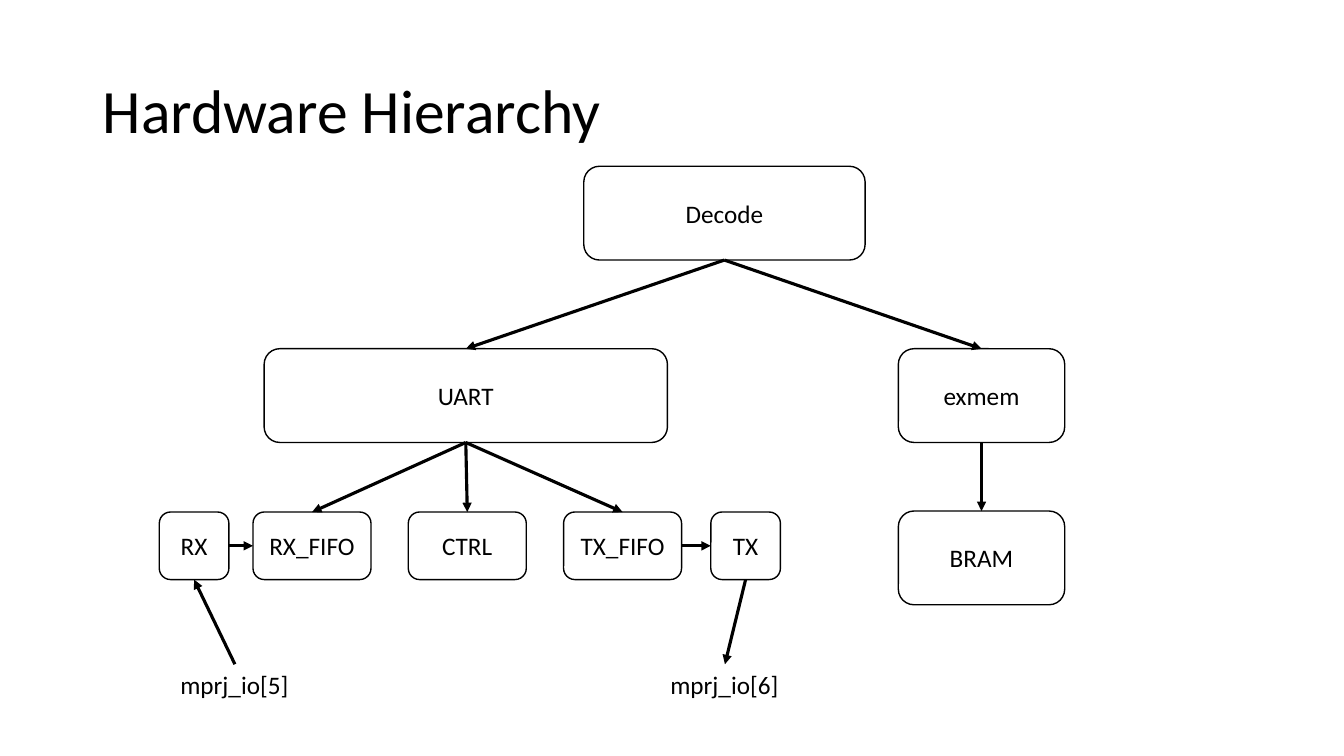
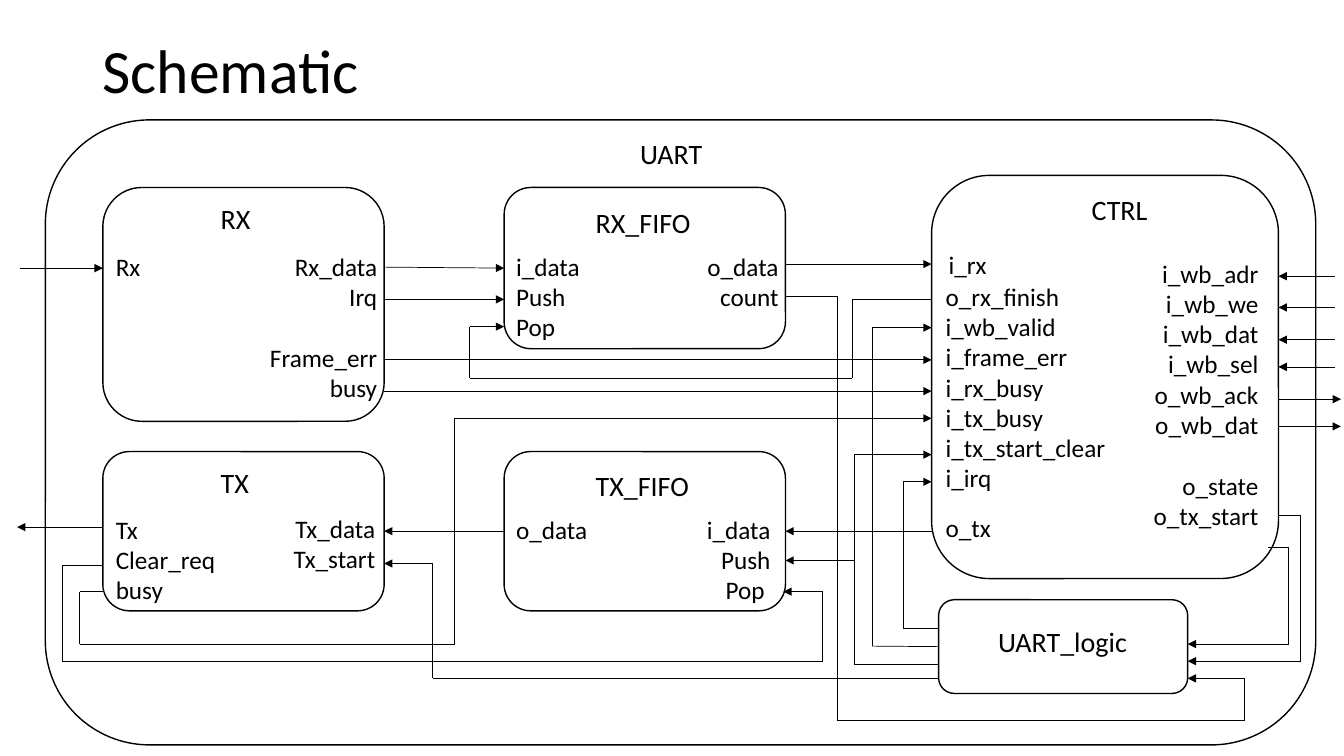
from itertools import pairwise

from lxml.etree import SubElement
from pptx import Presentation
from pptx.dml.color import RGBColor
from pptx.enum.shapes import MSO_CONNECTOR, MSO_SHAPE
from pptx.enum.text import MSO_ANCHOR, MSO_AUTO_SIZE, PP_ALIGN
from pptx.oxml.ns import qn
from pptx.util import Emu, Pt

EMU_PER_PX = 9144
TOP, LEFT, BOTTOM, RIGHT = range(4)


def px(length):
    """Turn px, 100 to the inch, into EMU."""
    return Emu(length * EMU_PER_PX)


def color(value):
    """Turn a hex string into a colour."""
    return RGBColor.from_string(value)


class Deck:
    """Hold the shared style and the current slide."""

    FONT = "Calibri"
    INK = "000000"
    TITLE, HEADING, BODY = 44, 20, 18
    BODY_LINE = 22

    def __init__(self):
        """Start an empty wide presentation."""
        self.presentation = Presentation()
        self.presentation.slide_width = px(1333)
        self.presentation.slide_height = px(750)
        self.slide = None

    def add_slide(self, title, top):
        """Open a slide with its title."""
        self.slide = self.presentation.slides.add_slide(
            self.presentation.slide_layouts[6])
        heading = self.slide.shapes.add_textbox(px(92), px(top), px(1150), px(145))
        self.set_text(heading, title, self.TITLE)
        heading.text_frame.word_wrap = True
        heading.text_frame.vertical_anchor = MSO_ANCHOR.MIDDLE
        heading.text_frame.paragraphs[0].line_spacing = 0.9

    def set_text(self, holder, text, size, align=PP_ALIGN.LEFT):
        """Set and format the text of a shape."""
        holder.text_frame.text = text
        holder.text_frame.word_wrap = False
        for paragraph in holder.text_frame.paragraphs:
            paragraph.alignment = align
            for run in paragraph.runs:
                run.font.name = self.FONT
                run.font.size = Pt(size)
                run.font.color.rgb = color(self.INK)

    def box(self, left, top, width, height, text=""):
        """Draw an outlined rounded block."""
        block = self.slide.shapes.add_shape(
            MSO_SHAPE.ROUNDED_RECTANGLE, px(left), px(top), px(width), px(height))
        block.shadow.inherit = False
        block.fill.background()
        block.line.color.rgb = color(self.INK)
        block.line.width = Pt(1)
        if text:
            self.set_text(block, text, self.BODY, PP_ALIGN.CENTER)
            block.text_frame.vertical_anchor = MSO_ANCHOR.MIDDLE
        return block

    def label(self, left, top, width, lines, size=BODY, align=PP_ALIGN.LEFT, gap_before=None):
        """Place lines of text, with one line left free before a given line."""
        count = len(lines) + (gap_before is not None)
        height = 44 if size == self.HEADING else 10 + 30 * count
        caption = self.slide.shapes.add_textbox(px(left), px(top), px(width), px(height))
        self.set_text(caption, "\n".join(lines), size, align)
        caption.text_frame.auto_size = MSO_AUTO_SIZE.SHAPE_TO_FIT_TEXT
        if gap_before is not None:
            caption.text_frame.paragraphs[gap_before].space_before = Pt(self.BODY_LINE)
        return caption

    def wire(self, *stops, weight=0.5):
        """Run an arrow through stops, each an (x, y) or a (shape, side)."""
        for start, finish in pairwise(stops):
            corners = [stop if isinstance(stop[0], int) else (0, 0)
                       for stop in (start, finish)]
            segment = self.slide.shapes.add_connector(
                MSO_CONNECTOR.STRAIGHT, *(px(value) for corner in corners for value in corner))
            if not isinstance(start[0], int):
                segment.begin_connect(*start)
            if not isinstance(finish[0], int):
                segment.end_connect(*finish)
            segment.line.color.rgb = color(self.INK)
            segment.line.width = Pt(weight)
            SubElement(segment.element.spPr, qn("a:effectLst"))
        SubElement(segment.get_or_add_ln(), qn("a:tailEnd"), type="triangle")


def hierarchy(deck):
    """Build the tree of hardware blocks."""
    deck.add_slide("Hardware Hierarchy", 40)
    decode = deck.box(579, 165, 279, 93, "Decode")
    uart = deck.box(262, 346, 400, 93, "UART")
    exmem = deck.box(891, 346, 165, 93, "exmem")
    bram = deck.box(891, 507, 165, 93, "BRAM")
    rx, rx_fifo, ctrl, tx_fifo, tx = (
        deck.box(left, 508, width, 67, name) for left, width, name in (
            (158, 69, "RX"), (251, 117, "RX_FIFO"), (405, 117, "CTRL"),
            (559, 117, "TX_FIFO"), (705, 69, "TX")))
    pin_in, pin_out = (
        deck.label(left, 659, 128, [name])
        for left, name in ((169, "mprj_io[5]"), (655, "mprj_io[6]")))

    downward = ((decode, uart), (decode, exmem), (exmem, bram), (uart, rx_fifo),
                (uart, ctrl), (uart, tx_fifo), (tx, pin_out))
    for parent, child in downward:
        deck.wire((parent, BOTTOM), (child, TOP), weight=2.25)
    for source, target in ((rx, rx_fifo), (tx_fifo, tx)):
        deck.wire((source, RIGHT), (target, LEFT), weight=2.25)
    deck.wire((pin_in, TOP), (rx, BOTTOM), weight=2.25)


def schematic(deck):
    """Build the block schematic with its ports and wires."""
    deck.add_slide("Schematic", 0)
    deck.box(45, 119, 1260, 620)
    deck.box(102, 186, 279, 232)
    tx = deck.box(102, 448, 279, 158)
    rx_fifo = deck.box(500, 186, 279, 160)
    tx_fifo = deck.box(500, 448, 279, 158)
    deck.box(924, 174, 344, 400)
    logic = deck.box(931, 595, 247, 93)

    headings = (
        (625, 131, 83, "UART"), (209, 195, 50, "RX"), (209, 457, 48, "TX"),
        (581, 199, 115, "RX_FIFO"), (581, 460, 114, "TX_FIFO"),
        (1073, 186, 76, "CTRL"), (980, 615, 149, "UART_logic"))
    for left, top, width, name in headings:
        deck.label(left, top, width, [name], deck.HEADING)

    left_ports = (
        (105, 244, 45, ["Rx"]),
        (105, 505, 120, ["Tx", "Clear_req", "busy"]),
        (502, 244, 84, ["i_data", "Push", "Pop"]),
        (502, 505, 92, ["o_data"]),
        (931, 242, 58, ["i_rx"]),
        (928, 274, 198, ["o_rx_finish", "i_wb_valid", "i_frame_err", "i_rx_busy",
                         "i_tx_busy", "i_tx_start_clear", "i_irq"]),
        (928, 503, 82, ["o_tx"]))
    for ports in left_ports:
        deck.label(*ports)

    right_ports = (
        (256, 244, 128, ["Rx_data", "Irq", "Frame_err", "busy"], 2),
        (280, 504, 102, ["Tx_data", "Tx_start"], None),
        (690, 244, 92, ["o_data", "count"], None),
        (690, 505, 84, ["i_data", "Push", "Pop "], None),
        (1133, 251, 125, ["i_wb_adr", "i_wb_we", "i_wb_dat", "i_wb_sel", "o_wb_ack",
                          "o_wb_dat", "o_state", "o_tx_start"], 6))
    for left, top, width, names, gap_before in right_ports:
        deck.label(left, top, width, names, align=PP_ALIGN.RIGHT, gap_before=gap_before)

    wires = (
        ((20, 266), (102, 266)),
        ((102, 523), (17, 523)),
        ((381, 265), (rx_fifo, LEFT)),
        ((381, 297), (500, 297)),
        ((381, 357), (924, 357)),
        ((381, 388), (924, 388)),
        ((779, 262), (924, 262)),
        ((924, 527), (tx_fifo, RIGHT)),
        ((tx_fifo, LEFT), (tx, RIGHT)),
        ((924, 297), (845, 297), (845, 375), (466, 375), (466, 324), (500, 324)),
        ((102, 587), (79, 587), (79, 639), (451, 639), (451, 415), (924, 415)),
        ((102, 561), (62, 561), (62, 656), (816, 656), (816, 587), (777, 587)),
        ((779, 294), (831, 294), (831, 715), (1234, 715), (1234, 673), (1178, 673)),
        ((1258, 543), (1278, 543), (1278, 639), (1178, 639)),
        ((1268, 511), (1290, 511), (1290, 656), (1178, 656)),
        ((931, 623), (896, 623), (896, 478), (924, 478)),
        ((logic, LEFT), (865, 641), (865, 325), (924, 325)),
        ((931, 659), (847, 659), (847, 451), (924, 451)),
        ((847, 556), (779, 556)),
        ((931, 673), (429, 673), (429, 559), (381, 559)))
    for stops in wires:
        deck.wire(*stops)
    for height in (274, 305, 337, 364):
        deck.wire((1324, height), (1268, height))
    for height in (396, 423):
        deck.wire((1268, height), (1330, height))


def main():
    """Build and save both slides."""
    deck = Deck()
    hierarchy(deck)
    schematic(deck)
    deck.presentation.save("out.pptx")


if __name__ == "__main__":
    main()
